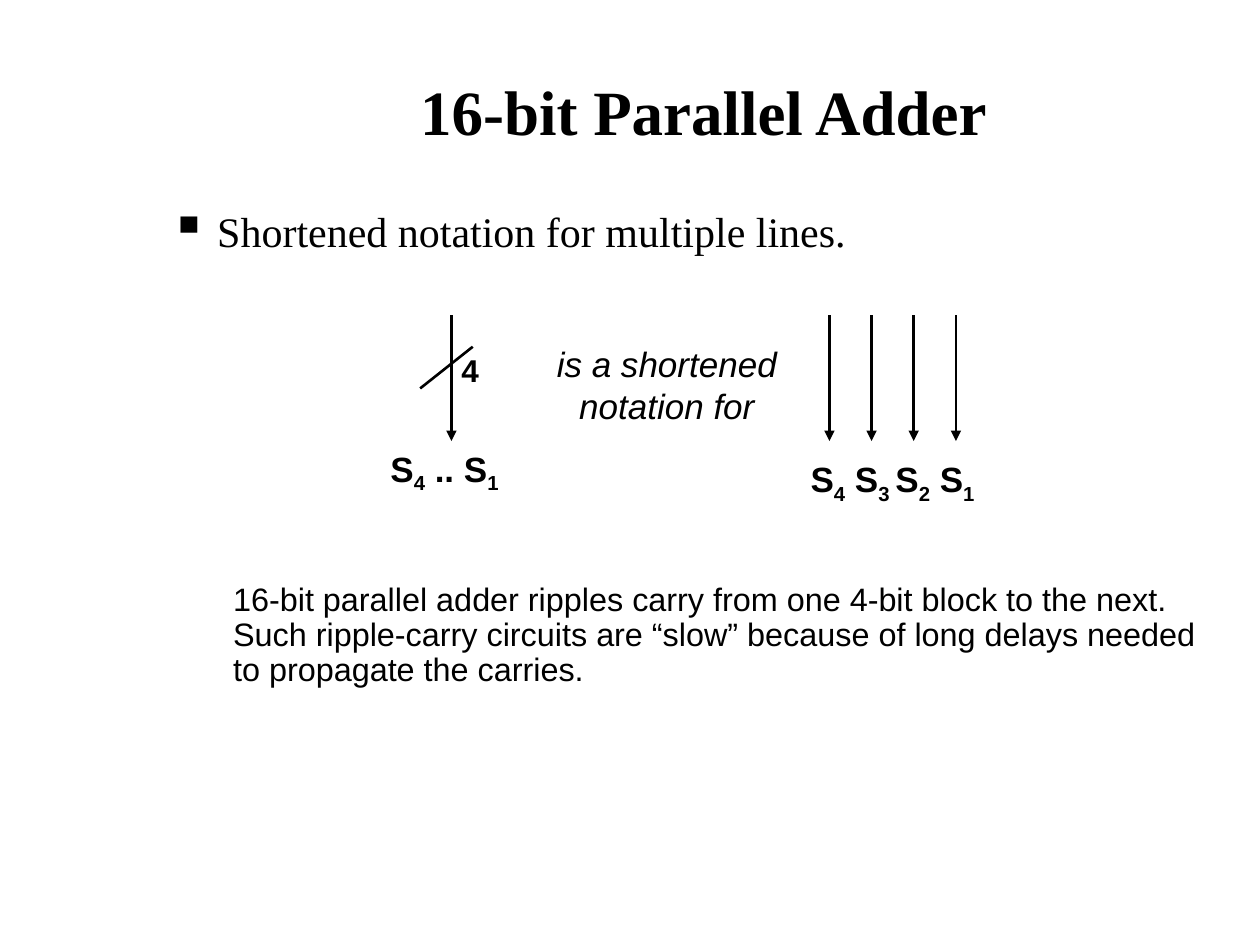
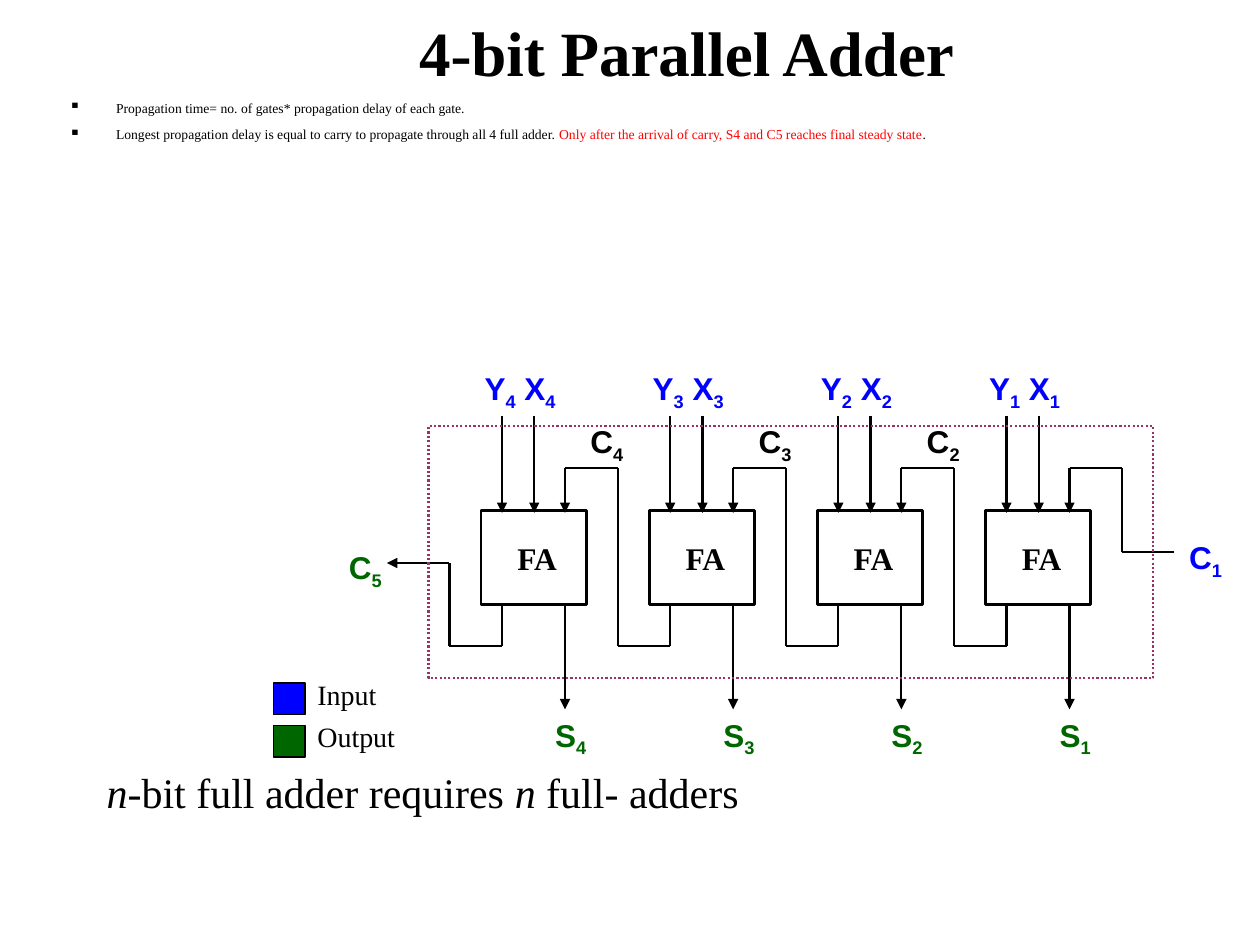
from dataclasses import dataclass
from itertools import pairwise

from pptx import Presentation
from pptx.dml.color import RGBColor
from pptx.enum.dml import MSO_LINE
from pptx.enum.shapes import MSO_CONNECTOR, MSO_SHAPE
from pptx.enum.text import MSO_ANCHOR, PP_ALIGN
from pptx.oxml import parse_xml
from pptx.oxml.ns import nsdecls, qn
from pptx.util import Cm, Pt

LEFT, CENTER = PP_ALIGN.LEFT, PP_ALIGN.CENTER
TOP, MIDDLE = MSO_ANCHOR.TOP, MSO_ANCHOR.MIDDLE
RECT = MSO_SHAPE.RECTANGLE
STRAIGHT = MSO_CONNECTOR.STRAIGHT
DOTS = MSO_LINE.ROUND_DOT


@dataclass(frozen=True)
class Theme:
    """Colours, fonts and type sizes of the deck."""
    ink: str = "000000"
    red: str = "FF0000"
    input: str = "0000FF"
    output: str = "006600"
    frame: str = "993366"
    serif: str = "Times New Roman"
    sans: str = "Arial"
    title: float = 36
    body: float = 24
    term: float = 20
    note: float = 18.5
    label: float = 18
    key: float = 16
    small: float = 7.8
    wire: float = 1.25
    bold: float = 1.5
    thin: float = 0.74


T = Theme()


def add(parent, tag, inner="", **attrs):
    """Append one drawing element to a parent."""
    pairs = "".join(f' {key}="{val}"' for key, val in attrs.items())
    parent.append(parse_xml(f'<a:{tag} {nsdecls("a")}{pairs}>{inner}</a:{tag}>'))


def bullet(para):
    """Give a paragraph a hanging square bullet."""
    props = para._p.get_or_add_pPr()
    props.set("marL", str(Cm(0.95)))
    props.set("indent", str(-Cm(0.95)))
    add(props, "buClr", f'<a:srgbClr val="{T.ink}"/>')
    add(props, "buSzPct", val=120000)
    add(props, "buChar", char="▪")


def text(slide, words, box, *, size=T.label, font=T.sans, color=T.ink,
         bold=False, italic=False, align=LEFT, anchor=TOP, before=0,
         spacing=None, dots=False, mark="sub"):
    """Add a text box; pieces between bars get the marked style."""
    frame = slide.shapes.add_textbox(*map(Cm, box)).text_frame
    frame.word_wrap = True
    frame.vertical_anchor = anchor
    for num, line in enumerate(words.split("\n")):
        para = frame.add_paragraph() if num else frame.paragraphs[0]
        para.alignment = align
        para.space_before = Pt(before)
        if spacing:
            para.line_spacing = spacing
        if dots:
            bullet(para)
        for pos, piece in enumerate(line.split("|")):
            if not piece:
                continue
            style = mark if pos % 2 else ""
            run = para.add_run()
            run.text = piece
            run.font.name, run.font.size = font, Pt(size)
            run.font.bold = bold
            run.font.italic = italic or style == "italic"
            tint = T.red if style == "red" else color
            run.font.color.rgb = RGBColor.from_string(tint)
            if style == "sub":
                run._r.get_or_add_rPr().set("baseline", "-25000")


def title(slide, words, box):
    """Add the slide title."""
    text(slide, words, box, size=T.title, font=T.serif, bold=True,
         align=CENTER, anchor=MIDDLE)


def points(slide, words, box, size):
    """Add the bulleted body text."""
    text(slide, words, box, size=size, font=T.serif, before=6, dots=True,
         mark="red")


def label(slide, words, box, **style):
    """Add a bold centred label of the circuit."""
    text(slide, words, box, bold=True, align=CENTER, before=2.2, **style)


def wire(slide, *stops, width=T.wire, tip=True):
    """Draw straight lines through the stops, with a tip at the last."""
    for start, end in pairwise(stops):
        line = slide.shapes.add_connector(STRAIGHT, *map(Cm, start + end))
        line.line.color.rgb = RGBColor.from_string(T.ink)
        line.line.width = Pt(width)
        props = line._element.spPr
        if tip and end == stops[-1]:
            add(props.find(qn("a:ln")), "tailEnd", type="triangle")
        add(props, "effectLst")


def rect(slide, box, *, fill=None, color=T.ink, width=T.bold, dash=None):
    """Draw a rectangle, hollow unless a fill is given."""
    shape = slide.shapes.add_shape(RECT, *map(Cm, box))
    shape.shadow.inherit = False
    if fill:
        shape.fill.solid()
        shape.fill.fore_color.rgb = RGBColor.from_string(fill)
    else:
        shape.fill.background()
    shape.line.color.rgb = RGBColor.from_string(color)
    shape.line.width = Pt(width)
    if dash:
        shape.line.dash_style = dash


def adder(slide, x, bit):
    """Draw one full adder with its inputs, sum and carry-in."""
    top, base, high, low = 10.29, 12.19, 9.44, 13.02
    tip = top + 0.05
    y_in, x_in, c_in, bend = x + 0.42, x + 1.07, x + 1.69, x + 2.75
    rect(slide, (x, top, 2.12, base - top))
    label(slide, "FA", (x + 0.28, 10.74, 1.7, 1.02), font=T.serif)
    label(slide, f"Y|{bit}| X|{bit}|", (x - 0.42, 7.32, 2.41, 1.12),
          color=T.input)
    for pin in (y_in, x_in):
        wire(slide, (pin, 8.38), (pin, tip))
    wire(slide, (c_in, base), (c_in, 14.3))
    label(slide, f"S|{bit}|", (x + 1.07, 14.3, 1.47, 1.12), color=T.output)
    if bit == 1:
        source = [(23.67, 11.13), (bend, 11.13)]
    else:
        prior = y_in + 3.39
        source = [(prior, base), (prior, low), (bend, low)]
        label(slide, f"C|{bit}|", (x + 1.9, 8.38, 1.27, 1.12))
    wire(slide, *source, (bend, high), (c_in, high), (c_in, tip))


def key(slide, row, words, color):
    """Draw one row of the legend."""
    drop = row * 0.85
    rect(slide, (5.51, 13.77 + drop, 0.64, 0.64), fill=color, width=T.thin)
    text(slide, words, (6.15, 13.54 + drop, 2.54, 0.94), size=T.key,
         font=T.serif, before=10)


def short(slide):
    """Build the slide on the short notation."""
    title(slide, "16-bit Parallel Adder", (3.39, 0.64, 21.59, 3.18))
    points(slide, "Shortened notation for multiple lines.",
           (3.18, 4.02, 21.59, 1.47), T.body)
    text(slide, "16-bit parallel adder ripples carry from one 4-bit block to "
         "the next.\nSuch ripple-carry circuits are “slow” because of long "
         "delays needed to propagate the carries.",
         (4.45, 11.64, 20.32, 3.6), size=T.note, spacing=0.9)
    for x in [9.1] + [16.72 + 0.85 * num for num in range(4)]:
        wire(slide, (x, 6.35), (x, 8.89), width=T.bold)
    wire(slide, (9.53, 6.99), (8.47, 7.83), width=T.bold, tip=False)
    text(slide, "4", (9.05, 6.96, 0.85, 1.02), bold=True, before=11.2)
    term = {"size": T.term, "before": 12.5}
    text(slide, "S|4| .. S|1|", (7.62, 8.89, 3.18, 1.22), bold=True, **term)
    text(slide, "S|4| S|3 |S|2| S|1|", (16.09, 9.1, 4.02, 1.22), bold=True,
         **term)
    text(slide, "is a shortened notation for", (10.8, 6.77, 5.29, 1.96),
         italic=True, align=CENTER, **term)


def chain(slide):
    """Build the slide on the chain of four full adders."""
    title(slide, "4-bit Parallel Adder", (3.05, 0.05, 21.59, 1.96))
    points(slide, "Propagation time= no. of gates* propagation delay of each "
           "gate.\nLongest propagation delay is equal to carry to propagate "
           "through all 4 full adder. |Only after the arrival of carry, S4 "
           "and C5 reaches final steady state|.",
           (1.14, 1.88, 21.59, 1.27), T.small)
    for num in range(4):
        adder(slide, 9.7 + 3.39 * num, 4 - num)
    wire(slide, (10.12, 12.19), (10.12, 13.02), (9.06, 13.02),
         (9.06, 11.35), (7.8, 11.35))
    label(slide, "C|1|", (23.67, 10.72, 1.27, 1.12), color=T.input)
    label(slide, "C|5|", (6.73, 10.92, 1.27, 1.12), color=T.output)
    rect(slide, (8.64, 8.59, 14.61, 5.08), color=T.frame, width=T.wire,
         dash=DOTS)
    key(slide, 0, "Input", T.input)
    key(slide, 1, "Output", T.output)
    text(slide, "|n|-bit full adder requires |n| full- adders",
         (1.9, 15.32, 22.86, 1.27), size=T.body, font=T.serif, mark="italic")


def main():
    """Build and save the deck."""
    deck = Presentation()
    deck.slide_width, deck.slide_height = Cm(25.4), Cm(19.05)
    blank = deck.slide_layouts[6]
    for build in (short, chain):
        build(deck.slides.add_slide(blank))
    deck.save("out.pptx")


main()
